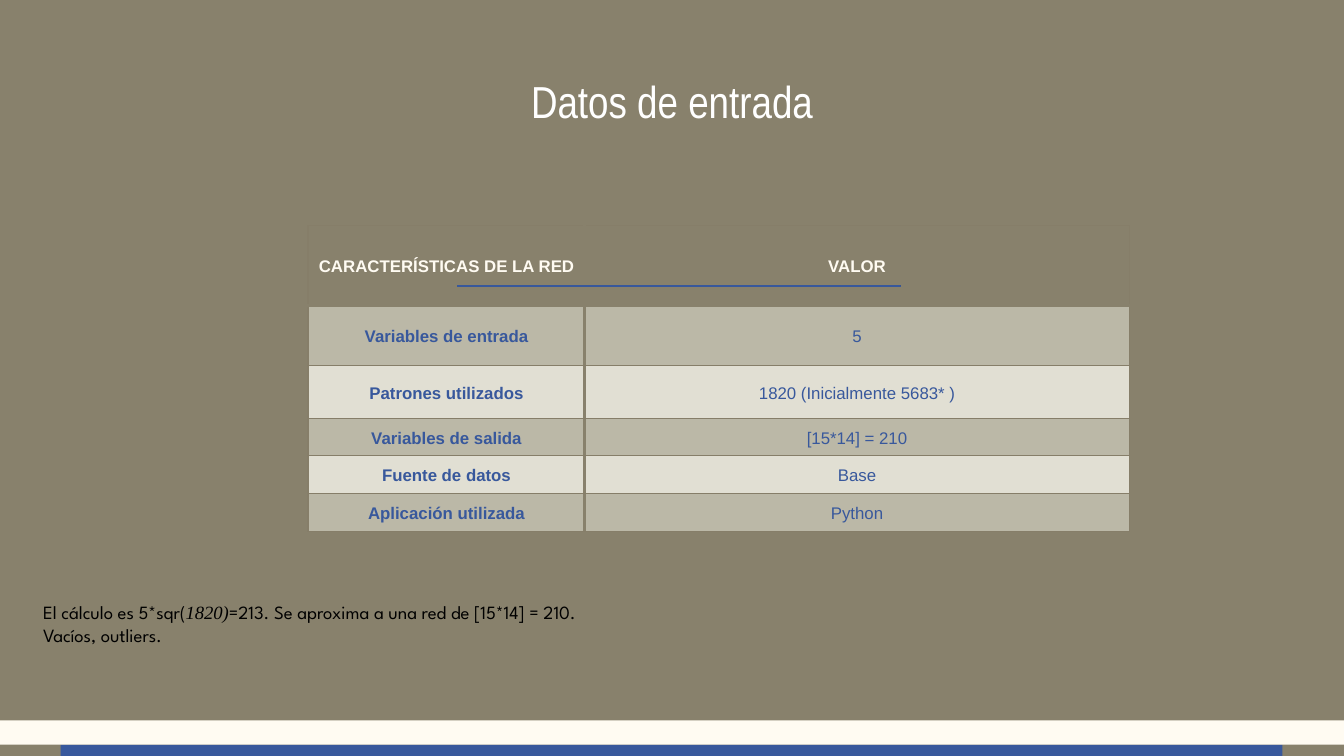
from lxml.etree import SubElement
from pptx import Presentation
from pptx.dml.color import RGBColor
from pptx.enum.shapes import MSO_SHAPE as Shape
from pptx.enum.text import MSO_ANCHOR as Anchor, PP_ALIGN as Align
from pptx.oxml.ns import qn
from pptx.util import Pt

COLORS = {
    "olive": "88816C",
    "rule": "867E69",
    "band": "BBB8A7",
    "light": "E1DFD3",
    "cream": "FFFBF2",
    "blue": "38589C",
    "white": "FFFFFF",
    "black": "000000",
}
TITLE = {"name": "Arial Narrow", "size": Pt(24), "color": "white"}
HEADER = {"name": "Arial", "size": Pt(9), "bold": True, "color": "cream"}
LABEL = {**HEADER, "color": "blue"}
VALUE = {**LABEL, "bold": False}
NOTE = {"name": "League Spartan", "size": Pt(10), "color": "black"}
NOTE_ITALIC = {**NOTE, "name": "Times New Roman", "italic": True}

ROWS = [
    ("CARACTERÍSTICAS DE LA RED", "VALOR"),
    ("Variables de entrada", "5"),
    ("Patrones utilizados", "1820 (Inicialmente 5683* )"),
    ("Variables de salida", "[15*14] = 210"),
    ("Fuente de datos", "Base"),
    ("Aplicación utilizada", "Python"),
]
ROW_HEIGHTS = [42.5, 32.4, 28.1, 20.2, 20.2, 20.2]
COLUMN_WIDTHS = [148.3, 291.6]
NOTE_LINES = [
    [
        ("El cálculo es 5*sqr(", NOTE),
        ("1820)", NOTE_ITALIC),
        ("=213. Se aproxima a una red de [15*14] = 210.", NOTE),
    ],
    [("Vacíos, outliers.", NOTE)],
]


def rgb(name):
    return RGBColor.from_string(COLORS[name])


def add_run(paragraph, text, style):
    run = paragraph.add_run()
    run.text = text
    for key, value in style.items():
        if key == "color":
            run.font.color.rgb = rgb(value)
        else:
            setattr(run.font, key, value)


def add_rectangle(slide, box, fill, line=None):
    shape = slide.shapes.add_shape(Shape.RECTANGLE, *map(Pt, box))
    shape.shadow.inherit = False
    shape.fill.solid()
    shape.fill.fore_color.rgb = rgb(fill)
    if line:
        shape.line.color.rgb = rgb(line)
        shape.line.width = Pt(0.75)
    else:
        shape.line.fill.background()


def add_text(slide, box, lines, align=Align.LEFT, wrap=True):
    frame = slide.shapes.add_textbox(*map(Pt, box)).text_frame
    frame.word_wrap = wrap
    frame.vertical_anchor = Anchor.MIDDLE
    for index, line in enumerate(lines):
        paragraph = frame.add_paragraph() if index else frame.paragraphs[0]
        paragraph.alignment = align
        for text, style in line:
            add_run(paragraph, text, style)


def set_border(cell, side, color, width):
    properties = cell._tc.get_or_add_tcPr()
    line = SubElement(properties, qn(f"a:ln{side}"), w=str(Pt(width)))
    fill = SubElement(line, qn("a:solidFill"))
    SubElement(fill, qn("a:srgbClr"), val=COLORS[color])


def format_cell(cell, row, column):
    # Wide lines divide the columns and close the header
    wide = {"R" if column == 0 else "L"}
    if row < 2:
        wide.add("B" if row == 0 else "T")
    for side in "LRTB":
        set_border(cell, side, *(("olive", 2) if side in wide else ("rule", 0.75)))
    cell.fill.solid()
    cell.fill.fore_color.rgb = rgb("olive" if row == 0 else "band" if row % 2 else "light")
    cell.vertical_anchor = Anchor.MIDDLE
    cell.margin_left = cell.margin_right = Pt(5)
    cell.margin_top = cell.margin_bottom = 0


def add_data_table(slide, left, top):
    size = sum(COLUMN_WIDTHS), sum(ROW_HEIGHTS)
    table = slide.shapes.add_table(
        len(ROWS), len(COLUMN_WIDTHS), *map(Pt, (left, top, *size))).table
    for column, width in zip(table.columns, COLUMN_WIDTHS):
        column.width = Pt(width)
    for row, height in zip(table.rows, ROW_HEIGHTS):
        row.height = Pt(height)
    for row, texts in enumerate(ROWS):
        for column, text in enumerate(texts):
            cell = table.cell(row, column)
            format_cell(cell, row, column)
            paragraph = cell.text_frame.paragraphs[0]
            paragraph.alignment = Align.CENTER
            paragraph.line_spacing = 1.15
            add_run(paragraph, text, HEADER if row == 0 else (LABEL, VALUE)[column])


def main():
    presentation = Presentation()
    presentation.slide_width, presentation.slide_height = Pt(720), Pt(405)
    slide = presentation.slides.add_slide(presentation.slide_layouts[6])
    slide.background.fill.solid()
    slide.background.fill.fore_color.rgb = rgb("olive")

    # Footer bands
    add_rectangle(slide, (32.5, 399, 654.5, 6), "blue")
    add_rectangle(slide, (0, 386, 720, 13), "cream")

    # Title, table and accent line
    add_text(slide, (57, 39, 606, 30), [[("Datos de entrada", TITLE)]], Align.CENTER)
    add_data_table(slide, 165, 121)
    add_rectangle(slide, (245, 152.8, 237.5, 0.7), "black", "blue")

    # Note on the network size
    add_text(slide, (16, 318, 355.5, 32), NOTE_LINES, wrap=False)

    presentation.save("out.pptx")


if __name__ == "__main__":
    main()
